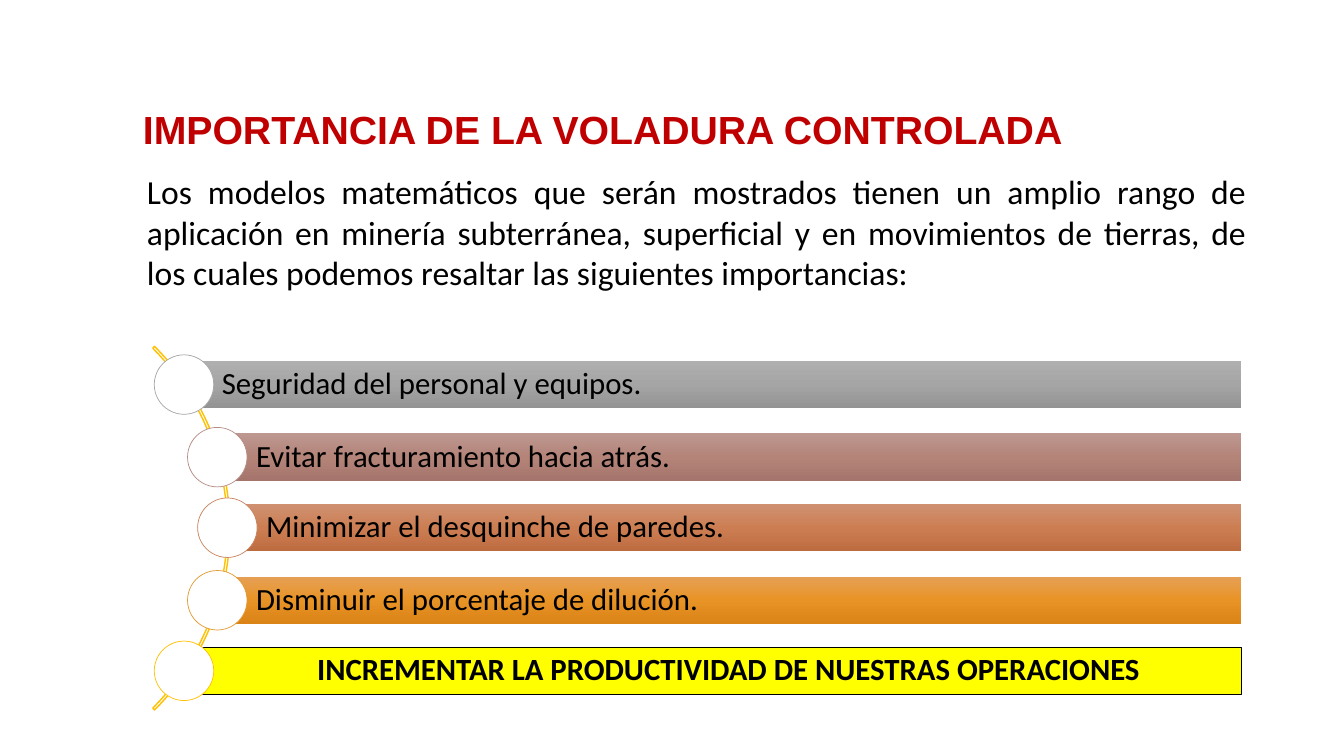
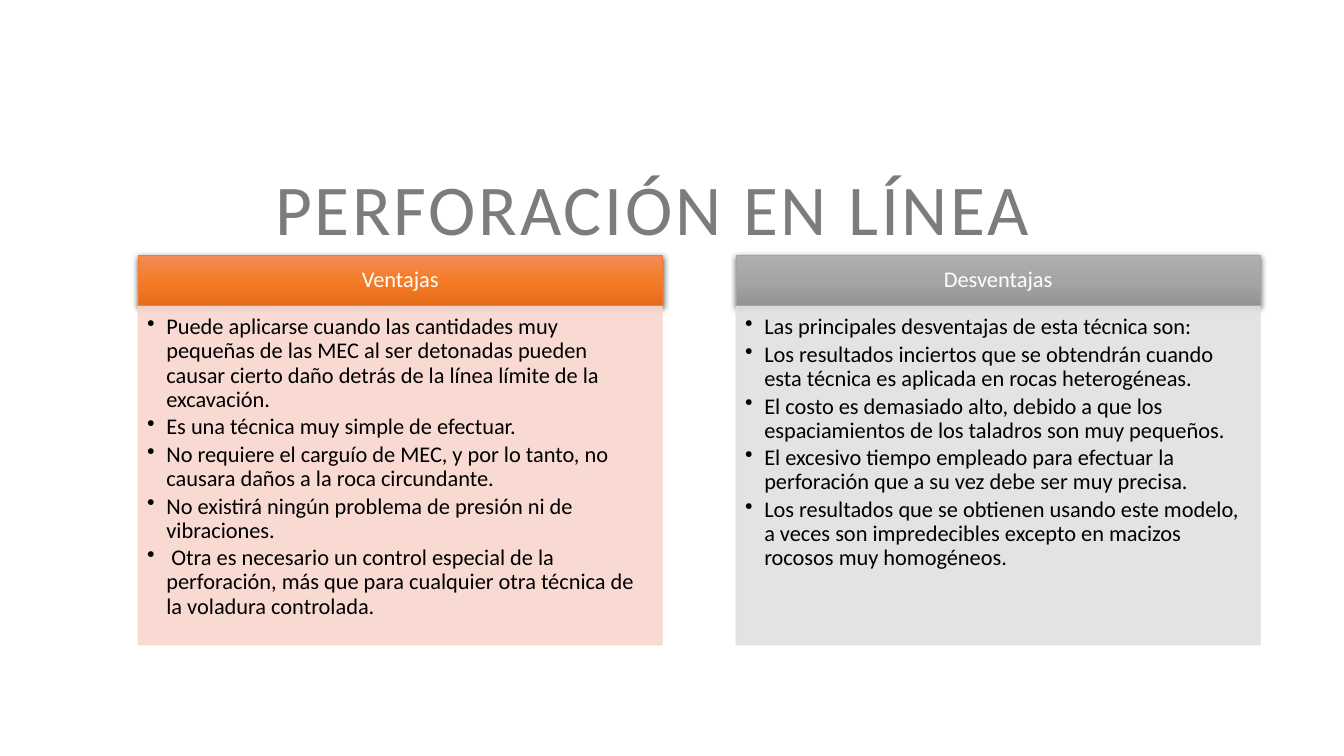
from copy import deepcopy
from math import sqrt
from lxml import etree
from pptx import Presentation
from pptx import util as u
from pptx.dml.color import RGBColor
from pptx.enum import shapes, text
from pptx.oxml.ns import qn

PX = 9144
FONT = "Calibri"
BLACK, WHITE, GOLD = "000000", "FFFFFF", "FFC000"
GRAY = ("AFAFAF", "A5A5A5", "939393")
ORANGE = ("F18C57", "F67B28", "E56C19")
LEFT, CENTER, JUST = text.PP_ALIGN.LEFT, text.PP_ALIGN.CENTER, text.PP_ALIGN.JUSTIFY
TOP, MID, LOW = text.MSO_ANCHOR.TOP, text.MSO_ANCHOR.MIDDLE, text.MSO_ANCHOR.BOTTOM
KIND = shapes.MSO_SHAPE

INTRO = (
    "Los modelos matemáticos que serán mostrados tienen un amplio rango de "
    "aplicación en minería subterránea, superficial y en movimientos de tierras, "
    "de los cuales podemos resaltar las siguientes importancias:"
)
GOALS = [
    ("Seguridad del personal y equipos.", GRAY, "A5A5A5"),
    ("Evitar fracturamiento hacia atrás.", ("BD9891", "B48479", "A5746C"), "B48A83"),
    ("Minimizar el desquinche de paredes.", ("CF9172", "CC7E52", "BD6C40"), "C9825C"),
    ("Disminuir el porcentaje de dilución.", ("E6A056", "E89325", "DA8317"), "E19A30"),
    ("INCREMENTAR LA PRODUCTIVIDAD DE NUESTRAS OPERACIONES", "FFFF00", GOLD),
]
PANELS = [
    ("Ventajas", ORANGE, "ED7D31", "F8D7CE", [
        "Puede aplicarse cuando las cantidades muy pequeñas de las MEC al ser "
        "detonadas pueden causar cierto daño detrás de la línea límite de la excavación.",
        "Es una técnica muy simple de efectuar.",
        "No requiere el carguío de MEC, y por lo tanto, no causara daños a la roca circundante.",
        "No existirá ningún problema de presión ni de vibraciones.",
        " Otra es necesario un control especial de la perforación, más que para "
        "cualquier otra técnica de la voladura controlada.",
    ]),
    ("Desventajas", GRAY, "A5A5A5", "E1E1E1", [
        "Las principales desventajas de esta técnica son:",
        "Los resultados inciertos que se obtendrán cuando esta técnica es aplicada "
        "en rocas heterogéneas.",
        "El costo es demasiado alto, debido a que los espaciamientos de los taladros "
        "son muy pequeños.",
        "El excesivo tiempo empleado para efectuar la perforación que a su vez debe "
        "ser muy precisa.",
        "Los resultados que se obtienen usando este modelo, a veces son impredecibles "
        "excepto en macizos rocosos muy homogéneos.",
    ]),
]


def rgb(code):
    return RGBColor.from_string(code)


def sub(node, tag, **attrs):
    return etree.SubElement(node, qn(tag), **attrs)


def paint(shape, fill):
    if fill is None:
        shape.fill.background()
    elif isinstance(fill, str):
        shape.fill.solid()
        shape.fill.fore_color.rgb = rgb(fill)
    else:
        shape.fill.gradient()
        shape.fill.gradient_angle = 270
        stops = next(shape._element.spPr.iter(qn("a:gsLst")))
        stops.insert(1, deepcopy(stops[0]))
        for i, stop in enumerate(shape.fill.gradient_stops):
            stop.color.rgb = rgb(fill[i])
            stop.position = i / 2


def draw(slide, kind, box, fill, line=None, width=0.5):
    shape = slide.shapes.add_shape(kind, *(round(v) * PX for v in box))
    shape.shadow.inherit = False
    paint(shape, fill)
    if line:
        shape.line.color.rgb = rgb(line)
        shape.line.width = u.Pt(width)
    else:
        shape.line.fill.background()
    return shape


def write(shape, lines, size, color=BLACK, bold=False, font=FONT, align=LEFT,
          anchor=TOP, pad=(10, 5, 10, 5), lead=0.9, bullet=False):
    frame = shape.text_frame
    frame.word_wrap = True
    frame.vertical_anchor = anchor
    (frame.margin_left, frame.margin_top,
     frame.margin_right, frame.margin_bottom) = (v * PX for v in pad)
    for i, line in enumerate(lines):
        para = frame.add_paragraph() if i else frame.paragraphs[0]
        para.text = line
        para.alignment = align
        para.line_spacing = lead
        if bullet:
            props = para._p.get_or_add_pPr()
            props.set("marL", str(19 * PX))
            props.set("indent", str(-19 * PX))
            sub(props, "a:buChar", char="•")
            para.space_after = u.Pt(2.4)
        para.font.name = font
        para.font.size = u.Pt(size)
        para.font.bold = bold
        para.font.color.rgb = rgb(color)
    return frame


def label(slide, box, line, size, **style):
    shape = slide.shapes.add_textbox(*(v * PX for v in box))
    return write(shape, [line], size, **style)


def shade(shape):
    effects = shape._element.spPr.find(qn("a:effectLst"))
    cast = sub(effects, "a:outerShdw", blurRad="57150", dist="19050",
               dir="5400000", algn="ctr", rotWithShape="0")
    tone = sub(cast, "a:srgbClr", val=BLACK)
    sub(tone, "a:alpha", val="63000")


def fade(shape, percent):
    for tone in shape._element.spPr.iter(qn("a:srgbClr")):
        sub(tone, "a:alpha", val=str(percent * 1000))


def goals(slide):
    label(slide, (132, 94, 1076, 62), "IMPORTANCIA DE LA VOLADURA CONTROLADA", 28,
          color="C00000", bold=True, font="Arial", align=JUST, anchor=LOW, lead=1.0)
    label(slide, (136, 165, 1110, 131), INTRO, 24, align=JUST, lead=1.0)

    hub, mid, rad = -27, 524, 253
    step, high, dot, right = 71, 47, 59, 1231
    arc = draw(slide, KIND.BLOCK_ARC, (hub - 255, mid - 255, 510, 510), None, GOLD, 1)
    for i, value in enumerate((189, 27, 0.005)):
        arc.adjustments[i] = value
    for i, (line, fill, edge) in enumerate(GOALS):
        drop = (i - len(GOALS) // 2) * step
        x, y = hub + sqrt(rad ** 2 - drop ** 2), mid + drop
        last = i == len(GOALS) - 1
        bar = draw(slide, KIND.RECTANGLE, (x, y - high / 2, right - x, high), fill,
                   BLACK if last else None, 0.75)
        write(bar, [line], 22, bold=last, align=CENTER if last else LEFT,
              anchor=MID, pad=(38, 6, 6, 6))
        draw(slide, KIND.OVAL, (x - dot / 2, y - dot / 2, dot, dot), WHITE, edge)


def panels(slide):
    title = label(slide, (263, 168, 1013, 163), "PERFORACIÓN EN LÍNEA", 51, color="7C7C7C")
    title.paragraphs[0].runs[0]._r.get_or_add_rPr().set("spc", "200")

    left, top, wide, head, body, step = 137, 253, 520, 50, 336, 593
    for i, (name, fill, edge, tint, lines) in enumerate(PANELS):
        x = left + i * step
        cap = draw(slide, KIND.RECTANGLE, (x, top, wide, head), fill, edge)
        shade(cap)
        write(cap, [name], 16, color=WHITE, align=CENTER, anchor=MID, pad=(12, 7, 12, 7))
        card = draw(slide, KIND.RECTANGLE, (x, top + head + 1, wide, body), tint, tint)
        fade(card, 90)
        write(card, lines, 16, pad=(9, 9, 12, 14), bullet=True)


def main():
    deck = Presentation()
    deck.slide_width, deck.slide_height = 1333 * PX, 750 * PX
    for build in (goals, panels):
        build(deck.slides.add_slide(deck.slide_layouts[6]))
    deck.save("out.pptx")


if __name__ == "__main__":
    main()
